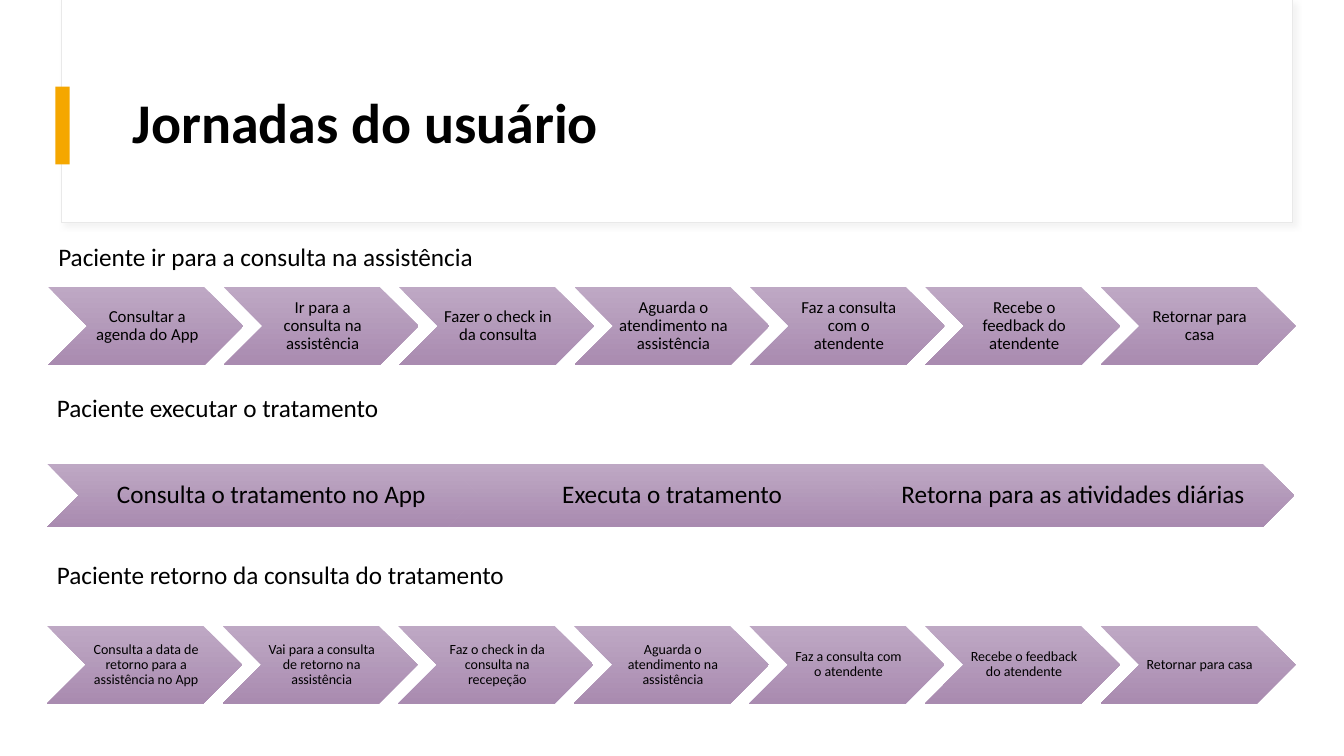
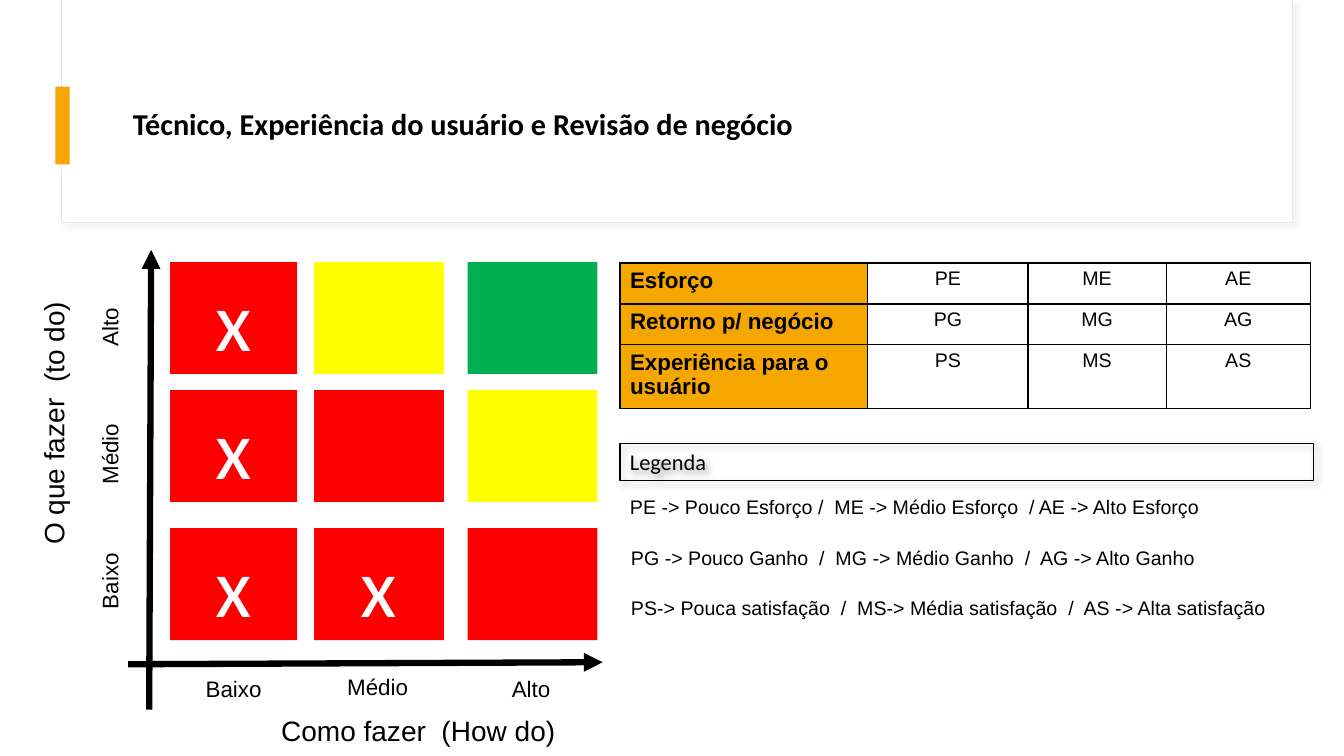
from dataclasses import dataclass

from lxml import etree
from pptx import Presentation
from pptx import util as u
from pptx.dml import color
from pptx.enum import shapes, text
from pptx.oxml import ns

COLORS = {
    "black": "000000", "white": "FFFFFF", "accent": "F5A700",
    "frame": "E9E9E9", "haze": "D9D9D9",
    "step_top": "BEA8C4", "step_bottom": "A98BB0",
    "red": "FF0000", "yellow": "FFFF00", "green": "00B050",
}
BODY, LABEL = "Calibri", "Arial"
LEFT, CENTER = text.PP_ALIGN.LEFT, text.PP_ALIGN.CENTER
TOP, MIDDLE = text.MSO_ANCHOR.TOP, text.MSO_ANCHOR.MIDDLE
RECTANGLE, CHEVRON = shapes.MSO_SHAPE.RECTANGLE, shapes.MSO_SHAPE.CHEVRON
STEP_SHARE = 0.9  # distance between chevrons, as a share of their width

JOURNEYS = [
    # heading, box on the page, band height in percent, size, inset, steps
    ("Paciente ir para a consulta na assistência", (3.6, 31.2, 92.8, 17.07),
     60.2, 12, 0.02,
     ["Consultar a agenda do App", "Ir para a consulta na assistência",
      "Fazer o check in da consulta", "Aguarda o atendimento na assistência",
      "Faz a consulta com o atendente", "Recebe o feedback do atendente",
      "Retornar para casa"]),
    ("Paciente executar o tratamento", (3.5, 51.2, 92.8, 18.53),
     45.3, 18, 0.03,
     ["Consulta o tratamento no App", "Executa o tratamento",
      "Retorna para as atividades diárias"]),
    ("Paciente retorno da consulta do tratamento", (3.5, 73.33, 92.9, 19.74),
     52, 10, 0.01,
     ["Consulta a data de retorno para a assistência no App",
      "Vai para a consulta de retorno na assistência",
      "Faz o check in da consulta na recepeção",
      "Aguarda o atendimento na assistência",
      "Faz a consulta com o atendente", "Recebe o feedback do atendente",
      "Retornar para casa"]),
]
MATRIX = [
    [("red", "x"), ("yellow", ""), ("green", "")],
    [("red", "x"), ("red", ""), ("yellow", "")],
    [("red", "x"), ("red", "x"), ("red", "")],
]
LEVELS = ["Alto", "Médio", "Baixo"]
CRITERIA = [
    ["Esforço", "PE", "ME", "AE"],
    ["Retorno p/ negócio", "PG", "MG", "AG"],
    ["Experiência para o usuário", "PS", "MS", "AS"],
]
LEGEND = [
    "PE -> Pouco Esforço /  ME -> Médio Esforço  / AE -> Alto Esforço",
    "PG -> Pouco Ganho  /  MG -> Médio Ganho  /  AG -> Alto Ganho",
    "PS-> Pouca satisfação  /  MS-> Média satisfação  /  AS -> Alta satisfação",
]


@dataclass
class Box:
    left: float
    top: float
    width: float
    height: float

    def point(self, x, y):
        """Position given in percent of this box."""
        return (int(self.left + self.width * x / 100),
                int(self.top + self.height * y / 100))

    def inner(self, left, top, width, height):
        """Inner box given in percent of this box."""
        return Box(*self.point(left, top),
                   int(self.width * width / 100), int(self.height * height / 100))

    def turned(self):
        """Box that covers this one after a quarter turn."""
        shift = (self.width - self.height) // 2
        return Box(self.left + shift, self.top - shift, self.height, self.width)

    def place(self):
        return self.left, self.top, self.width, self.height


def rgb(name):
    return color.RGBColor.from_string(COLORS[name])


def apply(target, values):
    for name, value in values.items():
        setattr(target, name, value)


# Basic parts
def write(frame, words, size, font=BODY, tint="black", bold=False,
          align=LEFT, spacing=1.0):
    para = frame.paragraphs[0]
    apply(para, {"alignment": align, "line_spacing": spacing})
    span = para.add_run()
    span.text = words
    apply(span.font, {"name": font, "size": u.Pt(size), "bold": bold})
    span.font.color.rgb = rgb(tint)


def add_label(slide, box, words, size, anchor=TOP, turn=False, **style):
    area = box.turned() if turn else box
    label = slide.shapes.add_textbox(*area.place())
    apply(label.text_frame, {"word_wrap": True, "vertical_anchor": anchor})
    write(label.text_frame, words, size, **style)
    if turn:
        label.rotation = 270


def add_block(slide, box, fill=None, line=None, kind=RECTANGLE):
    block = slide.shapes.add_shape(kind, *box.place())
    block.shadow.inherit = False
    if fill:
        block.fill.solid()
        block.fill.fore_color.rgb = rgb(fill)
    else:
        block.fill.background()
    if line:
        block.line.color.rgb = rgb(line)
        block.line.width = u.Pt(0.75)
    else:
        block.line.fill.background()
    return block


def sub(parent, tag, **values):
    return etree.SubElement(parent, ns.qn(tag), **values)


def cast_shadow(block, tint, opacity, blur, distance):
    effects = block._element.spPr.find(ns.qn("a:effectLst"))
    shadow = sub(effects, "a:outerShdw", blurRad=str(u.Pt(blur)),
                 dist=str(u.Pt(distance)), dir="2700000", algn="tl", rotWithShape="0")
    tone = sub(shadow, "a:srgbClr", val=COLORS[tint])
    sub(tone, "a:alpha", val=str(opacity * 1000))


def add_axis(slide, start, end):
    axis = slide.shapes.add_connector(shapes.MSO_CONNECTOR.STRAIGHT, *start, *end)
    axis.line.color.rgb = rgb("black")
    axis.line.width = u.Pt(4.5)
    sub(axis.line._get_or_add_ln(), "a:tailEnd", type="triangle")
    sub(axis._element.spPr, "a:effectLst")


def border_cell(cell):
    props = cell._tc.get_or_add_tcPr()
    for index, side in enumerate(("a:lnL", "a:lnR", "a:lnT", "a:lnB")):
        edge = etree.Element(ns.qn(side), w=str(u.Pt(1)))
        sub(sub(edge, "a:solidFill"), "a:srgbClr", val=COLORS["black"])
        props.insert(index, edge)


# Title band shared by the slides
def add_page(deck, title, size):
    slide = deck.slides.add_slide(deck.slide_layouts[6])
    page = Box(0, 0, deck.slide_width, deck.slide_height)
    frame = add_block(slide, page.inner(4.58, 0, 91.58, 29.47), "white", "frame")
    cast_shadow(frame, "haze", 30, 4, 3)
    add_block(slide, page.inner(4.13, 11.47, 1.05, 10.27), "accent")
    add_label(slide, page.inner(9.15, 8, 83.4, 17.2), title, size,
              anchor=MIDDLE, bold=True, spacing=0.9)
    return slide, page


# Heading over a chain of chevrons
def add_journey(slide, box, heading, band, size, inset, steps):
    add_label(slide, box.inner(0, 0, 64.9, 100 - band), heading, 18)
    width = 100 / (1 + STEP_SHARE * (len(steps) - 1))
    margins = {f"margin_{side}": u.Inches(inset)
               for side in ("top", "right", "bottom")}
    margins["margin_left"] = u.Inches(inset + 0.03)
    for index, step in enumerate(steps):
        area = box.inner(index * width * STEP_SHARE, 100 - band, width, band)
        chevron = add_block(slide, area, kind=CHEVRON)
        chevron.fill.gradient()
        chevron.fill.gradient_angle = 270
        for stop, tint in zip(chevron.fill.gradient_stops, ("step_top", "step_bottom")):
            stop.color.rgb = rgb(tint)
        apply(chevron.text_frame,
              {"word_wrap": True, "vertical_anchor": MIDDLE, **margins})
        write(chevron.text_frame, step, size, align=CENTER, spacing=0.9)


# Matrix of squares with two axes
def add_matrix(slide, box):
    style = {"font": LABEL, "align": CENTER}
    add_label(slide, box.inner(-1.6, -2.6, 7.86, 73.2),
              "O que fazer  (to do)", 20, turn=True, **style)
    add_label(slide, box.inner(34.29, 90.6, 65.36, 8.8),
              "Como fazer  (How do)", 20, **style)
    add_axis(slide, box.point(19.29, 90.8), box.point(19.64, -0.4))
    add_axis(slide, box.point(15.54, 81.8), box.point(99.64, 81.4))

    columns = [(23, 22.5), (48.5, 23), (75.7, 23)]
    for row, (top, level) in enumerate(zip((2, 27.4, 54.8), LEVELS)):
        add_label(slide, box.inner(9, 2.3 + 25.2 * row, 6.6, 25.2),
                  level, 16, turn=True, **style)
        for (left, width), (tint, mark) in zip(columns, MATRIX[row]):
            square = add_block(slide, box.inner(left, top, width, 22.2), tint)
            if mark:
                square.text_frame.vertical_anchor = MIDDLE
                write(square.text_frame, mark, 60, tint="white", align=CENTER)
    for (left, _), top, level in zip(columns, (83, 82.6, 83), reversed(LEVELS)):
        add_label(slide, box.inner(left, top, 22.5, 7.4), level, 16, **style)


# Table of criteria
def add_criteria(slide, box):
    table = slide.shapes.add_table(3, 4, *box.place()).table
    apply(table, {"first_row": False, "horz_banding": False})
    for column, share in zip(table.columns, (35.9, 23.2, 20, 20.9)):
        column.width = int(box.width * share / 100)
    for row, share in zip(table.rows, (28.2, 28.2, 43.6)):
        row.height = int(box.height * share / 100)
    for row, words in enumerate(CRITERIA):
        for column, word in enumerate(words):
            cell = table.cell(row, column)
            if column:
                cell.fill.background()
                write(cell.text_frame, word, 14, font=LABEL, align=CENTER)
            else:
                cell.fill.solid()
                cell.fill.fore_color.rgb = rgb("accent")
                write(cell.text_frame, word, 16, font=LABEL, bold=True)
            border_cell(cell)


# Legend below the table
def add_legend(slide, box):
    header = add_block(slide, box.inner(0, 0, 100, 20.6), line="black")
    cast_shadow(header, "black", 40, 5, 3)
    apply(header.text_frame, {"word_wrap": True, "vertical_anchor": TOP})
    write(header.text_frame, "Legenda", 16)
    for left, top, entry in zip((0, 0.15, 0.15), (25.6, 53.9, 81.1), LEGEND):
        add_label(slide, box.inner(left, top, 100, 18.9), entry, 14, font=LABEL)


def main():
    deck = Presentation()
    apply(deck, {"slide_width": u.Inches(13.33), "slide_height": u.Inches(7.5)})

    slide, page = add_page(deck, "Jornadas do usuário", 40)
    for heading, area, *details in JOURNEYS:
        add_journey(slide, page.inner(*area), heading, *details)

    slide, page = add_page(
        deck, "Técnico, Experiência do usuário e Revisão de negócio", 21.6)
    add_matrix(slide, page.inner(3, 33.33, 42, 66.67))
    add_criteria(slide, page.inner(46.13, 34.8, 51.38, 19.2))
    add_legend(slide, page.inner(46.13, 58.67, 51.6, 24))

    deck.save("out.pptx")


if __name__ == "__main__":
    main()
